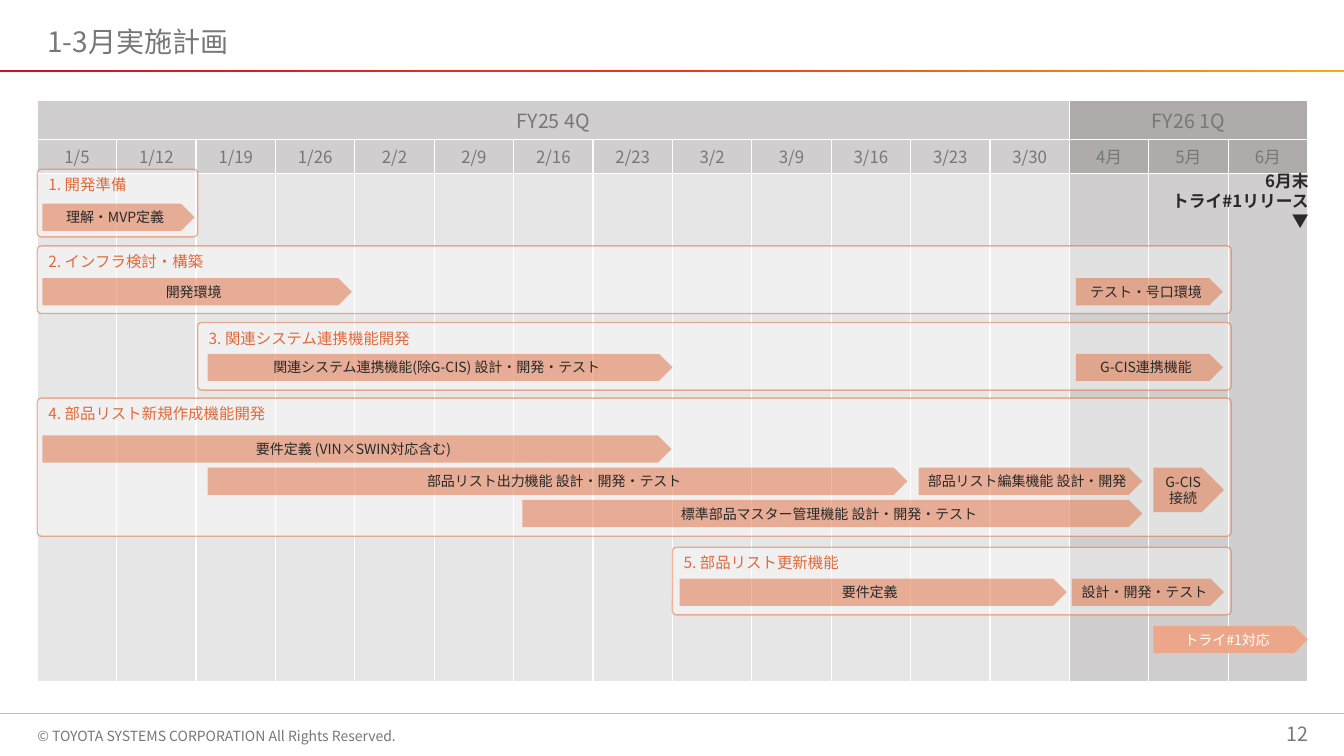
import copy

import pptx
import pptx.dml.color
import pptx.enum.shapes
import pptx.enum.text
import pptx.oxml
import pptx.oxml.ns
import pptx.util

Inches = pptx.util.Inches
Pt = pptx.util.Pt
Shape = pptx.enum.shapes.MSO_SHAPE
Align = pptx.enum.text.PP_ALIGN
Anchor = pptx.enum.text.MSO_ANCHOR
qn = pptx.oxml.ns.qn

FONT = "Noto Sans CJK JP"
COLORS = {
    "gray": "777777", "ink": "292929", "white": "FFFFFF", "rule": "BFBFBF",
    "orange": "E06A3B", "peach": "ECA689",
    "head": "D0CECE", "head_next": "AFABAB",
    "body": "E7E6E6", "body_next": "D0CECE",
}
RAINBOW = [(0, "C81528"), (0.5, "E83820"), (1, "F6AC19")]

LEFT, WIDTH = 0.37, 12.6
BAR_HEIGHT = 0.27
CURRENT_COUNT = 13
PERIODS = ["1/5", "1/12", "1/19", "1/26", "2/2", "2/9", "2/16", "2/23", "3/2",
           "3/9", "3/16", "3/23", "3/30", "4月", "5月", "6月"]
ROW_HEIGHTS = [0.38, 0.34, 5.04]

PHASES = [
    ("4. 部品リスト新規作成機能開発", 0.37, 3.95, 11.84, 1.37),
    ("3. 関連システム連携機能開発", 1.96, 3.2, 10.25, 0.67),
    ("2. インフラ検討・構築", 0.37, 2.44, 11.84, 0.67),
    ("5. 部品リスト更新機能", 6.67, 5.43, 5.54, 0.67),
    ("1. 開発準備", 0.37, 1.68, 1.59, 0.67),
]
TASKS = [
    ("理解・MVP定義", 0.42, 2.02, 1.51),
    ("開発環境", 0.42, 2.76, 3.07),
    ("要件定義 (VIN×SWIN対応含む)", 0.42, 4.32, 6.24),
    ("部品リスト出力機能 設計・開発・テスト", 2.06, 4.64, 6.94),
    ("標準部品マスター管理機能 設計・開発・テスト", 5.18, 4.96, 6.15),
    ("部品リスト編集機能 設計・開発", 9.11, 4.64, 2.22),
    ("要件定義", 6.74, 5.74, 3.84),
    ("テスト・号口環境", 10.67, 2.76, 1.46),
    ("関連システム連携機能(除G-CIS) 設計・開発・テスト", 2.06, 3.51, 4.61),
    ("G-CIS連携機能", 10.67, 3.51, 1.46),
    ("設計・開発・テスト", 10.63, 5.74, 1.51),
]


def rgb(value):
    return pptx.dml.color.RGBColor.from_string(value)


def set_opacity(fill_parent, percent):
    color = fill_parent.find(qn("a:solidFill")).find(qn("a:srgbClr"))
    alpha = pptx.oxml.parse_xml(
        f'<a:alpha {pptx.oxml.ns.nsdecls("a")} val="{percent * 1000}"/>')
    color.append(alpha)


def write(frame, text, size, color, align=Align.LEFT, bold=False):
    para = frame.paragraphs[0]
    para.alignment = align
    for index, line in enumerate(text.split("\n")):
        if index:
            para.add_line_break()
        span = para.add_run()
        span.text = line
        span.font.size = Pt(size)
        span.font.bold = bold
        span.font.color.rgb = rgb(COLORS[color])
        span.font.name = FONT
        east_asian = pptx.oxml.parse_xml(
            f'<a:ea {pptx.oxml.ns.nsdecls("a")} typeface="{FONT}"/>')
        span.font._element.append(east_asian)
    return para


def add_preset(page, preset, left, top, width, height):
    shape = page.shapes.add_shape(
        preset, Inches(left), Inches(top), Inches(width), Inches(height))
    shape.shadow.inherit = False
    shape.line.fill.background()
    return shape


def add_label(page, text, left, top, width, height, size, color,
              align=Align.LEFT, bold=False, wrap=True, anchor=Anchor.TOP):
    box = page.shapes.add_textbox(
        Inches(left), Inches(top), Inches(width), Inches(height))
    frame = box.text_frame
    frame.margin_left = frame.margin_right = 0
    frame.word_wrap = wrap
    frame.vertical_anchor = anchor
    write(frame, text, size, color, align, bold)


def add_title(page, text):
    title = page.shapes.title
    title.left, title.top = Inches(LEFT), Inches(0.23)
    title.width, title.height = Inches(WIDTH), Inches(0.41)
    title.text_frame.vertical_anchor = Anchor.MIDDLE
    write(title.text_frame, text, 20, "gray").line_spacing = 0.9


def add_header_band(page):
    band = add_preset(page, Shape.RECTANGLE, 0, 0.69, 13.33, 0.02)
    band.fill.gradient()
    band.fill.gradient_angle = 0
    stop_list = band._element.spPr.find(qn("a:gradFill")).find(qn("a:gsLst"))
    stop_list.append(copy.deepcopy(stop_list[0]))
    for stop, (position, color) in zip(band.fill.gradient_stops, RAINBOW):
        stop.position = position
        stop.color.rgb = rgb(color)


def add_footer_rule(page):
    rule = page.shapes.add_connector(
        pptx.enum.shapes.MSO_CONNECTOR.STRAIGHT,
        Inches(0), Inches(7.08), Inches(13.33), Inches(7.08))
    rule.line.color.rgb = rgb(COLORS["rule"])
    rule.line.width = Pt(1)
    rule._element.spPr.append(pptx.oxml.parse_xml(
        f'<a:effectLst {pptx.oxml.ns.nsdecls("a")}/>'))


def style_cell(cell, color):
    cell.fill.solid()
    cell.fill.fore_color.rgb = rgb(COLORS[color])
    properties = cell._tc.get_or_add_tcPr()
    for index, side in enumerate(("lnL", "lnR", "lnT", "lnB")):
        properties.insert(index, pptx.oxml.parse_xml(
            f'<a:{side} {pptx.oxml.ns.nsdecls("a")} w="12700"><a:solidFill>'
            f'<a:srgbClr val="{COLORS["white"]}"/></a:solidFill></a:{side}>'))


def add_calendar(page):
    count = len(PERIODS)
    table = page.shapes.add_table(
        len(ROW_HEIGHTS), count, Inches(LEFT), Inches(1),
        Inches(WIDTH), Inches(sum(ROW_HEIGHTS))).table
    table.first_row = False
    table.horz_banding = False
    for column in table.columns:
        column.width = Inches(WIDTH / count)
    for row_index, height in enumerate(ROW_HEIGHTS):
        table.rows[row_index].height = Inches(height)
        kind = "body" if row_index == 2 else "head"
        for column_index in range(count):
            suffix = "" if column_index < CURRENT_COUNT else "_next"
            style_cell(table.cell(row_index, column_index), kind + suffix)
    for text, first, last in (("FY25 4Q", 0, CURRENT_COUNT - 1),
                              ("FY26 1Q", CURRENT_COUNT, count - 1)):
        table.cell(0, first).merge(table.cell(0, last))
        write(table.cell(0, first).text_frame, text, 14, "gray", Align.CENTER)
    for column_index, period in enumerate(PERIODS):
        write(table.cell(1, column_index).text_frame, period, 12, "gray",
              Align.CENTER)


def add_phase(page, text, left, top, width, height):
    phase = add_preset(page, Shape.ROUNDED_RECTANGLE, left, top, width, height)
    phase.adjustments[0] = 0.04 / height
    phase.fill.solid()
    phase.fill.fore_color.rgb = rgb(COLORS["white"])
    set_opacity(phase._element.spPr, 40)
    phase.line.color.rgb = rgb(COLORS["orange"])
    phase.line.width = Pt(1)
    set_opacity(phase._element.spPr.find(qn("a:ln")), 50)
    phase.text_frame.vertical_anchor = Anchor.TOP
    write(phase.text_frame, text, 11, "orange")


def add_task(page, text, left, top, width, height=BAR_HEIGHT,
             fill="orange", opacity=50, color="ink"):
    bar = add_preset(page, Shape.PENTAGON, left, top, width, height)
    bar.fill.solid()
    bar.fill.fore_color.rgb = rgb(COLORS[fill])
    set_opacity(bar._element.spPr, opacity)
    frame = bar.text_frame
    frame.margin_left = frame.margin_right = 0
    frame.vertical_anchor = Anchor.MIDDLE
    write(frame, text, 10, color, Align.CENTER)


def main():
    deck = pptx.Presentation()
    deck.slide_width, deck.slide_height = Inches(13.33), Inches(7.5)
    page = deck.slides.add_slide(deck.slide_layouts[5])
    add_label(page, "© TOYOTA SYSTEMS CORPORATION All Rights Reserved.",
              LEFT, 7.17, 3.99, 0.27, 10, "gray", wrap=False)
    add_header_band(page)
    add_footer_rule(page)
    add_title(page, "1-3月実施計画")
    add_calendar(page)
    for phase in PHASES:
        add_phase(page, *phase)
    add_label(page, "6月末\nトライ#1リリース\n▼", 11.61, 1.64, 1.37, 0.71,
              12, "ink", Align.RIGHT, bold=True)
    add_task(page, "トライ#1対応", 11.44, 6.21, 1.53,
             fill="peach", opacity=100, color="white")
    for task in TASKS:
        add_task(page, *task)
    add_task(page, "G-CIS\n接続", 11.44, 4.64, 0.7, 0.44)
    add_label(page, "12", 9.98, 7.1, 3, 0.34, 14, "gray", Align.RIGHT,
              anchor=Anchor.BOTTOM)
    deck.save("out.pptx")


if __name__ == "__main__":
    main()
